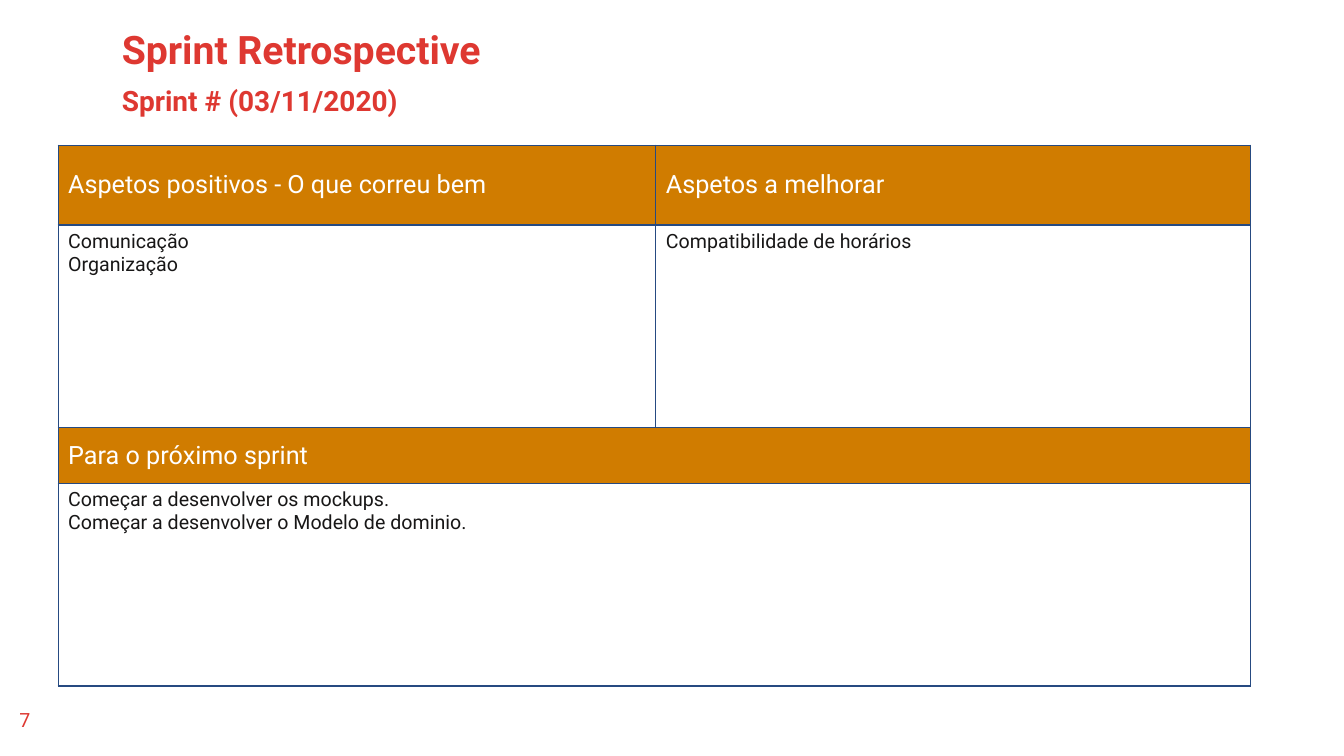
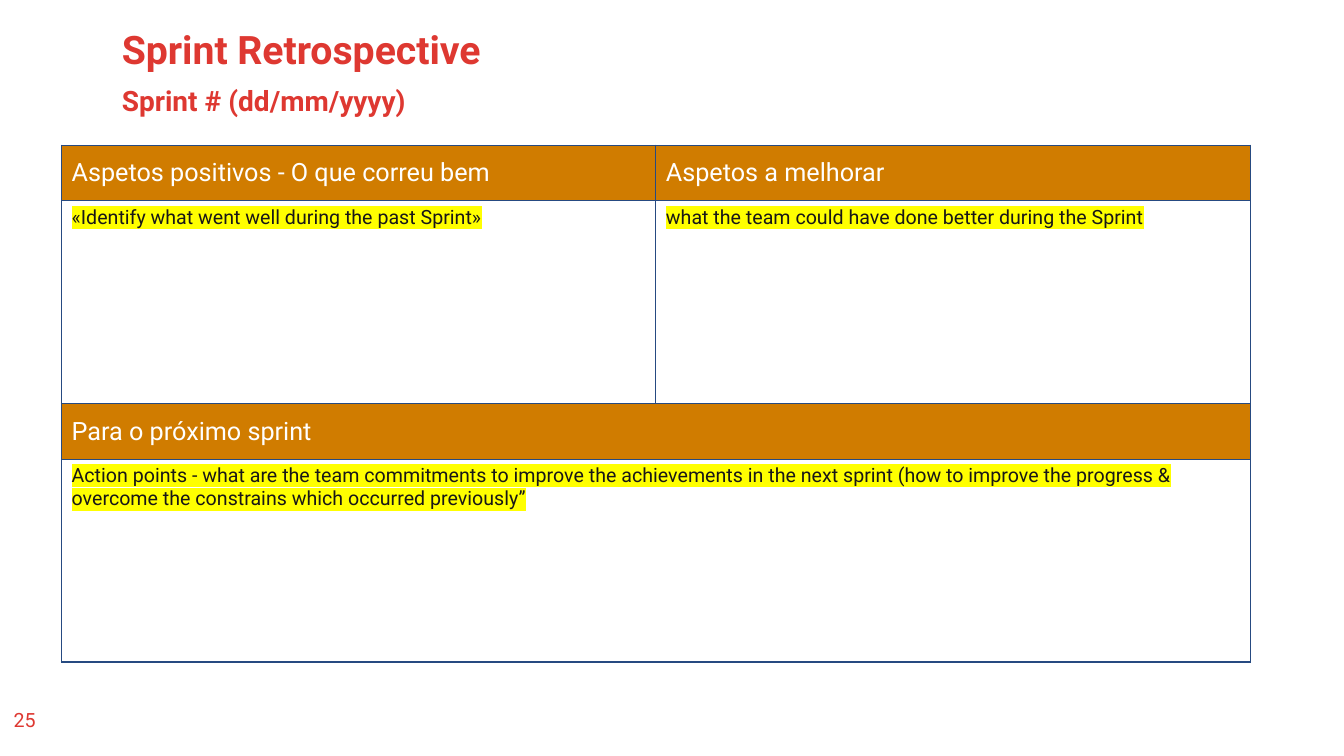
from lxml.etree import SubElement
from pptx import Presentation
from pptx.dml.color import RGBColor
from pptx.enum.text import MSO_ANCHOR, PP_ALIGN
from pptx.oxml import parse_xml
from pptx.oxml.ns import nsdecls, qn
from pptx.util import Pt

TABLE_RIGHT = 893
TABLE_TOP = 103.7
NOTES_HEIGHT = 144.8
HEADING_HEIGHT = 39.8


def color(hex_string):
    return RGBColor.from_string(hex_string)


class RetrospectiveDeck:
    FONT = "Roboto"
    RED, ORANGE, BLUE = "DE3831", "D07C00", "264A81"
    WHITE, INK, YELLOW = "FFFFFF", "181717", "FFFF00"

    def __init__(self):
        self.presentation = Presentation()
        self.presentation.slide_width = Pt(960)
        self.presentation.slide_height = Pt(540)
        self.slide = None

    def add_slide(self, sprint, number):
        """Start a slide with its title, sprint line and page number."""
        blank = self.presentation.slide_layouts[6]
        self.slide = self.presentation.slides.add_slide(blank)
        self.text("Sprint Retrospective", 80, 18.5, 750, 32.4, 28, bold=True, spacing=0.9)
        self.text(sprint, 80, 59, 750, 30.2, 20, bold=True, spacing=0.9)
        self.text(number, 0.7, 502, 34, 29, 14, align=PP_ALIGN.CENTER)

    def text(self, words, left, top, width, height, size, bold=False,
             align=PP_ALIGN.LEFT, spacing=1.0):
        box = self.slide.shapes.add_textbox(Pt(left), Pt(top), Pt(width), Pt(height))
        frame = box.text_frame
        frame.word_wrap = True
        frame.text = words
        paragraph = frame.paragraphs[0]
        paragraph.alignment = align
        paragraph.line_spacing = spacing
        self.format_runs(frame, size, self.RED, bold)

    def format_runs(self, frame, size, ink, bold=False, highlight=None):
        for paragraph in frame.paragraphs:
            for run in paragraph.runs:
                run.font.size = Pt(size)
                run.font.bold = bold
                run.font.color.rgb = color(ink)
                run.font.name = self.FONT
                if highlight:
                    marker = parse_xml(f'<a:highlight {nsdecls("a")}>'
                                       f'<a:srgbClr val="{highlight}"/></a:highlight>')
                    run.font.fill.solid()
                    run.font.color.rgb = color(ink)
                    properties = run.font.color and run._r.get_or_add_rPr()
                    properties.find(qn("a:solidFill")).addnext(marker)

    def outline(self, cell):
        properties = cell._tc.get_or_add_tcPr()
        for side in ("a:lnL", "a:lnR", "a:lnT", "a:lnB"):
            line = SubElement(properties, qn(side), w=str(Pt(1)))
            fill = SubElement(line, qn("a:solidFill"))
            SubElement(fill, qn("a:srgbClr"), val=self.BLUE)

    def table(self, rows, widths, heights, highlight=None):
        """Draw rows that alternate headings and notes; a lone entry spans the row."""
        frame = self.slide.shapes.add_table(
            len(rows), len(widths), Pt(TABLE_RIGHT - sum(widths)), Pt(TABLE_TOP),
            Pt(sum(widths)), Pt(sum(heights)))
        grid = frame.table
        grid.first_row = grid.horz_banding = False
        for column, width in zip(grid.columns, widths):
            column.width = Pt(width)
        for index, (entries, height) in enumerate(zip(rows, heights)):
            grid.rows[index].height = Pt(height)
            is_heading = index % 2 == 0
            for position in range(len(widths)):
                cell = grid.cell(index, position)
                self.outline(cell)
                cell.fill.solid()
                cell.fill.fore_color.rgb = color(self.ORANGE if is_heading else self.WHITE)
            if len(entries) == 1:
                grid.cell(index, 0).merge(grid.cell(index, len(widths) - 1))
            for position, words in enumerate(entries):
                cell = grid.cell(index, position)
                cell.text_frame.text = words
                if is_heading:
                    cell.vertical_anchor = MSO_ANCHOR.MIDDLE
                    self.format_runs(cell.text_frame, 18, self.WHITE)
                else:
                    self.format_runs(cell.text_frame, 14, self.INK, highlight=highlight)

    def retrospective(self, went_well, to_improve, next_sprint, widths,
                      first_height=HEADING_HEIGHT, highlight=None):
        rows = [
            ["Aspetos positivos - O que correu bem", "Aspetos a melhorar"],
            [went_well, to_improve],
            ["Para o próximo sprint"],
            [next_sprint],
        ]
        heights = [first_height, NOTES_HEIGHT, HEADING_HEIGHT, NOTES_HEIGHT]
        self.table(rows, widths, heights, highlight)


def main():
    deck = RetrospectiveDeck()

    deck.add_slide("Sprint # (03/11/2020)", "7")
    deck.retrospective(
        "Comunicação\nOrganização",
        "Compatibilidade de horários",
        "Começar a desenvolver os mockups.\nComeçar a desenvolver o Modelo de dominio.",
        widths=[427, 424.5], first_height=57)

    deck.add_slide("Sprint # (dd/mm/yyyy)", "25")
    deck.retrospective(
        "«Identify what went well during the past Sprint»",
        "what the team could have done better during the Sprint",
        "Action points - what are the team commitments to improve the achievements "
        "in the next sprint (how to improve the progress & overcome the constrains "
        "which occurred previously”",
        widths=[424.5, 424.5], highlight=deck.YELLOW)

    deck.presentation.save("out.pptx")


if __name__ == "__main__":
    main()
